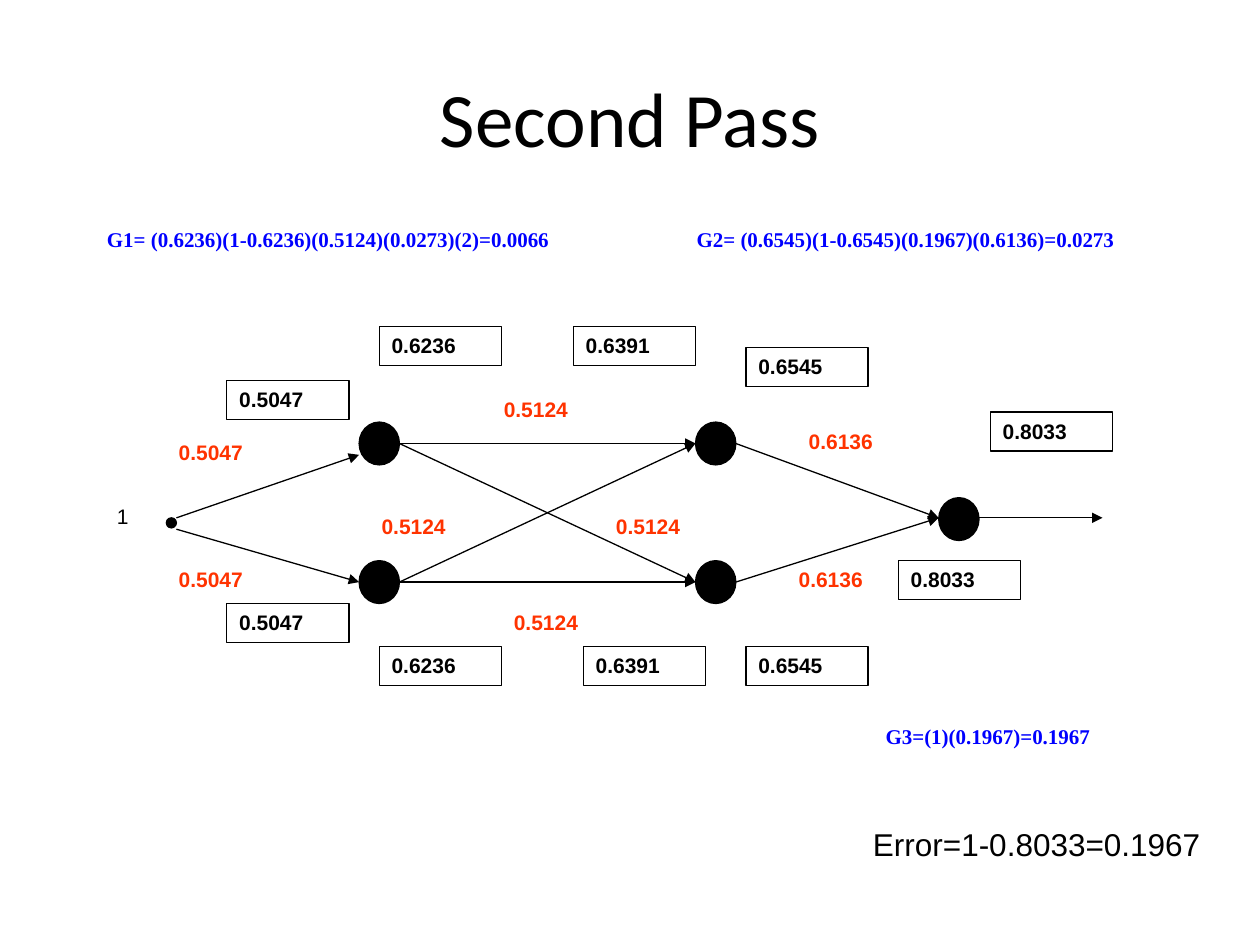
import pptx
import pptx.dml.color
import pptx.enum.shapes
import pptx.enum.text
import pptx.util
from pptx.util import Inches

BLACK = pptx.dml.color.RGBColor(0x00, 0x00, 0x00)
RED = pptx.dml.color.RGBColor(0xFF, 0x33, 0x00)
BLUE = pptx.dml.color.RGBColor(0x00, 0x00, 0xFF)
SHAPE = pptx.enum.shapes.MSO_SHAPE
STRAIGHT = pptx.enum.shapes.MSO_CONNECTOR.STRAIGHT

deck = pptx.Presentation()
deck.slide_width, deck.slide_height = Inches(10), Inches(7.5)
page = deck.slides.add_slide(deck.slide_layouts[5])


def write(text, left, top, width, height=0.31, size=12, font="Arial",
          color=BLACK, bold=False, framed=False):
    """Add one line of text, in a thin black frame if framed."""
    place = Inches(left), Inches(top), Inches(width), Inches(height)
    if framed:
        box = page.shapes.add_shape(SHAPE.RECTANGLE, *place)
        box.shadow.inherit = False
        box.fill.background()
        box.line.color.rgb = BLACK
        box.line.width = pptx.util.Pt(0.75)
    else:
        box = page.shapes.add_textbox(*place)
    frame = box.text_frame
    frame.word_wrap = True
    frame.vertical_anchor = pptx.enum.text.MSO_ANCHOR.TOP
    para = frame.paragraphs[0]
    para.alignment = pptx.enum.text.PP_ALIGN.LEFT
    span = para.add_run()
    span.text = text
    span.font.size = pptx.util.Pt(size)
    span.font.name = font
    span.font.bold = bold
    span.font.color.rgb = color


title = page.shapes.title
title.left, title.top = Inches(0.5), Inches(0.3)
title.width, title.height = Inches(9), Inches(1.25)
title.text_frame.text = "Second Pass"
title_para = title.text_frame.paragraphs[0]
title_para.alignment = pptx.enum.text.PP_ALIGN.CENTER
title_para.font.size = pptx.util.Pt(44)
title_para.font.name = "Calibri"
title_para.font.color.rgb = BLACK

# Neurons: two hidden layers of two, then the output, fed by a small input dot
NODE_W, NODE_H = 0.32, 0.34
HIDDEN_1, HIDDEN_2, OUTPUT = 2.85, 5.52, 7.45
UPPER, LOWER, MIDDLE = 3.52, 4.62, 4.11
nodes = [(left, mid - NODE_H / 2, NODE_W, NODE_H)
         for left in (HIDDEN_1, HIDDEN_2) for mid in (UPPER, LOWER)]
nodes += [(OUTPUT, 3.95, NODE_W, NODE_H), (1.32, 4.11, 0.08, 0.08)]
for node in nodes:
    neuron = page.shapes.add_shape(SHAPE.OVAL, *map(Inches, node))
    neuron.shadow.inherit = False
    neuron.fill.solid()
    neuron.fill.fore_color.rgb = BLACK
    neuron.line.color.rgb = BLACK
    neuron.line.width = pptx.util.Pt(0.75)

# Links run from the right side of one layer to the left side of the next
links = [(1.4, 4.11, HIDDEN_1, 3.61), (1.4, 4.2, HIDDEN_1, LOWER),
         (OUTPUT + NODE_W, MIDDLE, 8.75, MIDDLE)]
for start in (UPPER, LOWER):
    links += [(HIDDEN_1 + NODE_W, start, HIDDEN_2, end) for end in (UPPER, LOWER)]
    links.append((HIDDEN_2 + NODE_W, start, OUTPUT, MIDDLE))
for link in links:
    arrow = page.shapes.add_connector(STRAIGHT, *map(Inches, link))
    arrow.line.color.rgb = BLACK
    arrow.line.width = pptx.util.Pt(0.75)
    line_xml = arrow.line._get_or_add_ln()
    line_xml.append(pptx.oxml.parse_xml(
        '<a:tailEnd xmlns:a="http://schemas.openxmlformats.org/drawingml/2006/main" '
        'type="triangle"/>'))
    line_xml.getparent().append(pptx.oxml.parse_xml(
        '<a:effectLst xmlns:a="http://schemas.openxmlformats.org/drawingml/2006/main"/>'))

weights = [
    ("0.5047", 1.32, 3.44), ("0.5047", 1.32, 4.45),
    ("0.5124", 3.9, 3.1), ("0.5124", 2.93, 4.03),
    ("0.5124", 4.79, 4.03), ("0.5124", 3.98, 4.79),
    ("0.6136", 6.32, 3.35), ("0.6136", 6.24, 4.45),
]
for value, left, top in weights:
    write(value, left, top, 0.97, color=RED, bold=True)

activations = [
    ("0.5047", 1.8, 3.02), ("0.5047", 1.8, 4.79),
    ("0.6236", 3.01, 2.59), ("0.6236", 3.01, 5.13),
    ("0.6391", 4.55, 2.59), ("0.6391", 4.63, 5.13),
    ("0.6545", 5.92, 2.76), ("0.6545", 5.92, 5.13),
    ("0.8033", 7.86, 3.27), ("0.8033", 7.13, 4.45),
]
for value, left, top in activations:
    write(value, left, top, 0.97, bold=True, framed=True)

gradients = [
    ("G1= (0.6236)(1-0.6236)(0.5124)(0.0273)(2)=0.0066", 0.75, 1.75, 3.8, 0.61),
    ("G2= (0.6545)(1-0.6545)(0.1967)(0.6136)=0.0273", 5.43, 1.75, 3.8, 0.61),
    ("G3=(1)(0.1967)=0.1967", 6.93, 5.69, 2.67, 0.31),
]
for formula, *place in gradients:
    write(formula, *place, font="Times New Roman", color=BLUE, bold=True)

write("1", 0.83, 3.95, 0.34)
write("Error=1-0.8033=0.1967", 6.83, 6.5, 2.92, 0.4, size=18)

deck.save("out.pptx")
